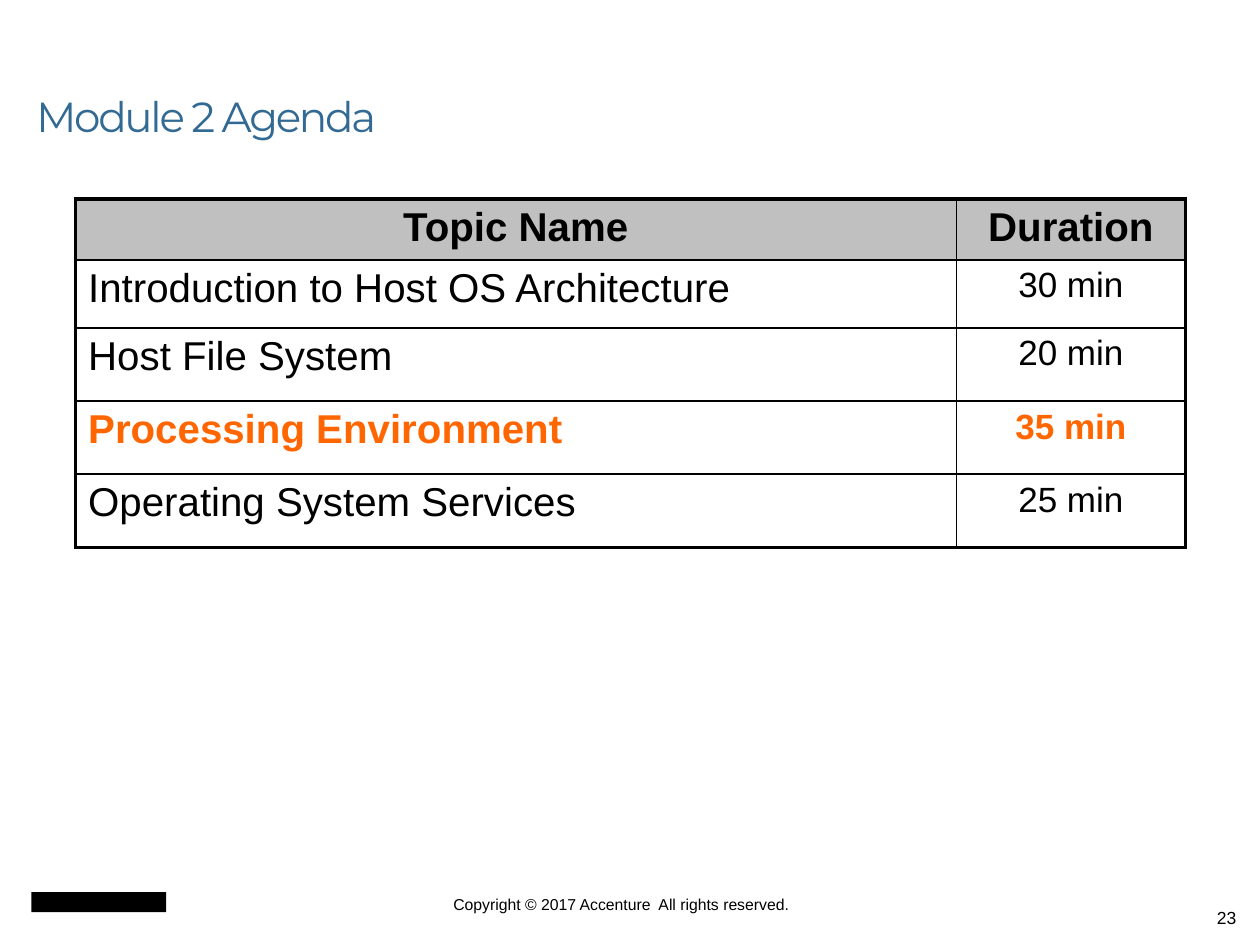
from dataclasses import dataclass

from lxml import etree
from pptx import Presentation
from pptx.dml.color import RGBColor
from pptx.enum.shapes import MSO_SHAPE
from pptx.enum.text import MSO_ANCHOR, PP_ALIGN
from pptx.oxml.ns import qn
from pptx.util import Inches, Pt

LEFT, CENTER, RIGHT = PP_ALIGN.LEFT, PP_ALIGN.CENTER, PP_ALIGN.RIGHT
TOP, BOTTOM = MSO_ANCHOR.TOP, MSO_ANCHOR.BOTTOM
RECTANGLE = MSO_SHAPE.RECTANGLE


@dataclass(frozen=True)
class Theme:
    text: RGBColor = RGBColor(0, 0, 0)
    title: RGBColor = RGBColor(0x32, 0x6A, 0x94)
    current: RGBColor = RGBColor(0xFF, 0x66, 0x00)
    header: RGBColor = RGBColor(0xC0, 0xC0, 0xC0)
    body_font: str = "Arial"
    title_font: str = "Montserrat"
    title_size: Pt = Pt(24)
    topic_size: Pt = Pt(23)
    duration_size: Pt = Pt(20)
    copyright_size: Pt = Pt(9)
    number_size: Pt = Pt(10)
    outer_line: Pt = Pt(2.25)
    inner_line: Pt = Pt(1)


theme = Theme()


def write(frame, text, size, align, color=theme.text, bold=False, font=theme.body_font):
    paragraph = frame.paragraphs[0]
    paragraph.text = text
    paragraph.alignment = align
    paragraph.font.name = font
    paragraph.font.size = size
    paragraph.font.bold = bold
    paragraph.font.color.rgb = color
    return paragraph


def add_border(cell, side, width):
    line = etree.SubElement(cell._tc.get_or_add_tcPr(), qn(f"a:ln{side}"), w=str(width))
    fill = etree.SubElement(line, qn("a:solidFill"))
    etree.SubElement(fill, qn("a:srgbClr"), val=str(theme.text))


presentation = Presentation()
presentation.slide_width = Inches(10)
presentation.slide_height = Inches(7.5)
slide = presentation.slides.add_slide(presentation.slide_layouts[6])

# Title
title = slide.shapes.add_textbox(Inches(0.19), Inches(0.17), Inches(8.92), Inches(1))
title.text_frame.word_wrap = True
title.text_frame.vertical_anchor = BOTTOM
paragraph = write(title.text_frame, "Module 2 Agenda", theme.title_size, LEFT,
                  theme.title, font=theme.title_font)
paragraph.line_spacing = 0.9
paragraph.runs[0]._r.get_or_add_rPr().set("spc", "-130")

# Agenda table
agenda = [
    ("Topic Name", "Duration"),
    ("Introduction to Host OS Architecture", "30 min"),
    ("Host File System", "20 min"),
    ("Processing Environment", "35 min"),
    ("Operating System Services", "25 min"),
]
current_row = 3
column_widths = [6.99, 1.82]
row_heights = [0.48, 0.54, 0.58, 0.58, 0.58]
last_row, last_column = len(row_heights) - 1, len(column_widths) - 1

table = slide.shapes.add_table(
    len(row_heights), len(column_widths), Inches(0.6), Inches(1.58),
    Inches(sum(column_widths)), Inches(sum(row_heights))).table
table.first_row = False
table.horz_banding = False
for column, width in zip(table.columns, column_widths):
    column.width = Inches(width)
for row, height in zip(table.rows, row_heights):
    row.height = Inches(height)

for row_index, texts in enumerate(agenda):
    is_header = row_index == 0
    is_current = row_index == current_row
    for column_index, text in enumerate(texts):
        cell = table.cell(row_index, column_index)
        cell.vertical_anchor = TOP
        is_duration = column_index == last_column
        write(cell.text_frame, text,
              theme.duration_size if is_duration and not is_header else theme.topic_size,
              CENTER if is_header or is_duration else LEFT,
              theme.current if is_current else theme.text,
              is_header or is_current)
        outer_sides = {"L": column_index == 0, "R": is_duration,
                       "T": is_header, "B": row_index == last_row}
        for side, is_outer in outer_sides.items():
            add_border(cell, side, theme.outer_line if is_outer else theme.inner_line)
        if is_header:
            cell.fill.solid()
            cell.fill.fore_color.rgb = theme.header
        else:
            cell.fill.background()

# Footer: plain mark, copyright line and page number
mark = slide.shapes.add_shape(RECTANGLE, Inches(0.25), Inches(7.08), Inches(1.07), Inches(0.16))
mark.shadow.inherit = False
mark.fill.solid()
mark.fill.fore_color.rgb = theme.text
mark.line.fill.background()

copyright_box = slide.shapes.add_textbox(Inches(2.75), Inches(7.1), Inches(4.36), Inches(0.15))
frame = copyright_box.text_frame
frame.word_wrap = True
frame.margin_left = frame.margin_top = frame.margin_right = frame.margin_bottom = 0
write(frame, "Copyright © 2017 Accenture  All rights reserved.", theme.copyright_size, CENTER)

number_box = slide.shapes.add_textbox(Inches(7.58), Inches(7.15), Inches(2.33), Inches(0.26))
number_box.text_frame.word_wrap = True
write(number_box.text_frame, "23", theme.number_size, RIGHT)

presentation.save("out.pptx")
